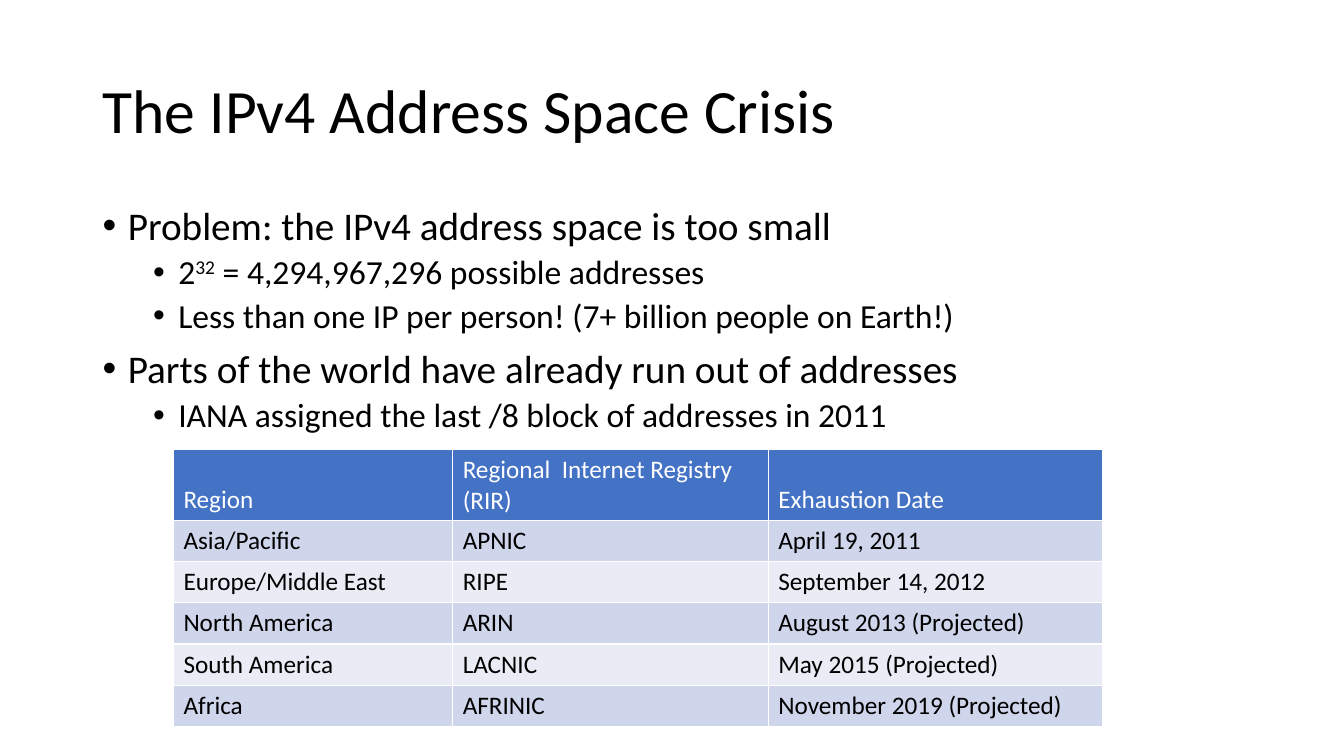
from lxml.etree import SubElement
from pptx import Presentation
from pptx.dml.color import RGBColor
from pptx.enum.text import MSO_ANCHOR as Anchor
from pptx.oxml.ns import qn
from pptx.util import Inches, Pt


def add_span(para, text, size, color="000000"):
    span = para.add_run()
    span.text = text
    span.font.name = "Calibri"
    span.font.size = Pt(size)
    span.font.bold = False
    span.font.color.rgb = RGBColor.from_string(color)
    return span


def add_frame(page, top, height, anchor):
    box = page.shapes.add_textbox(Inches(0.92), Inches(top), Inches(11.5), Inches(height))
    frame = box.text_frame
    frame.word_wrap = True
    frame.vertical_anchor = anchor
    return frame


deck = Presentation()
deck.slide_width = Inches(13.33)
deck.slide_height = Inches(7.5)
page = deck.slides.add_slide(deck.slide_layouts[6])

title = add_frame(page, 0.4, 1.45, Anchor.MIDDLE).paragraphs[0]
title.line_spacing = 0.9
add_span(title, "The IPv4 Address Space Crisis", 44)

bullets = [
    (0, ["Problem: the IPv4 address space is too small"]),
    (1, ["2", "32", " = 4,294,967,296 possible addresses"]),
    (1, ["Less than one IP per person! (7+ billion people on Earth!)"]),
    (0, ["Parts of the world have already run out of addresses"]),
    (1, ["IANA assigned the last /8 block of addresses in 2011"]),
]
body = add_frame(page, 2, 4.76, Anchor.TOP)
for index, (level, texts) in enumerate(bullets):
    para = body.add_paragraph() if index else body.paragraphs[0]
    para.level = level
    para.line_spacing = 0.9
    para.space_before = Pt(5 if level else 10)
    properties = para._p.get_or_add_pPr()
    properties.set("marL", str(Inches(0.25 + 0.5 * level)))
    properties.set("indent", str(Inches(-0.25)))
    SubElement(properties, qn("a:buFont")).set("typeface", "Arial")
    SubElement(properties, qn("a:buChar")).set("char", "•")
    for text in texts:
        span = add_span(para, text, 24 if level else 28)
        if text == "32":
            span.font._element.set("baseline", "30000")

registries = [
    ("Region", "Regional  Internet Registry (RIR)", "Exhaustion Date"),
    ("Asia/Pacific", "APNIC", "April 19, 2011"),
    ("Europe/Middle East", "RIPE", "September 14, 2012"),
    ("North America", "ARIN", "August 2013 (Projected)"),
    ("South America", "LACNIC", "May 2015 (Projected)"),
    ("Africa", "AFRINIC", "November 2019 (Projected)"),
]
table = page.shapes.add_table(
    len(registries), 3, Inches(1.72), Inches(4.46), Inches(9.22), Inches(2.73)
).table
for column, width in zip(table.columns, (2.77, 3.13, 3.32)):
    column.width = Inches(width)
for row_index, values in enumerate(registries):
    header = row_index == 0
    table.rows[row_index].height = Inches(0.7 if header else 0.41)
    fill = "4472C4" if header else ("E9EBF5", "CFD5EA")[row_index % 2]
    for column_index, value in enumerate(values):
        cell = table.cell(row_index, column_index)
        cell.fill.solid()
        cell.fill.fore_color.rgb = RGBColor.from_string(fill)
        cell.vertical_anchor = Anchor.BOTTOM if header else Anchor.TOP
        para = cell.text_frame.paragraphs[0]
        add_span(para, value, 18, "FFFFFF" if header else "000000")

deck.save("out.pptx")
